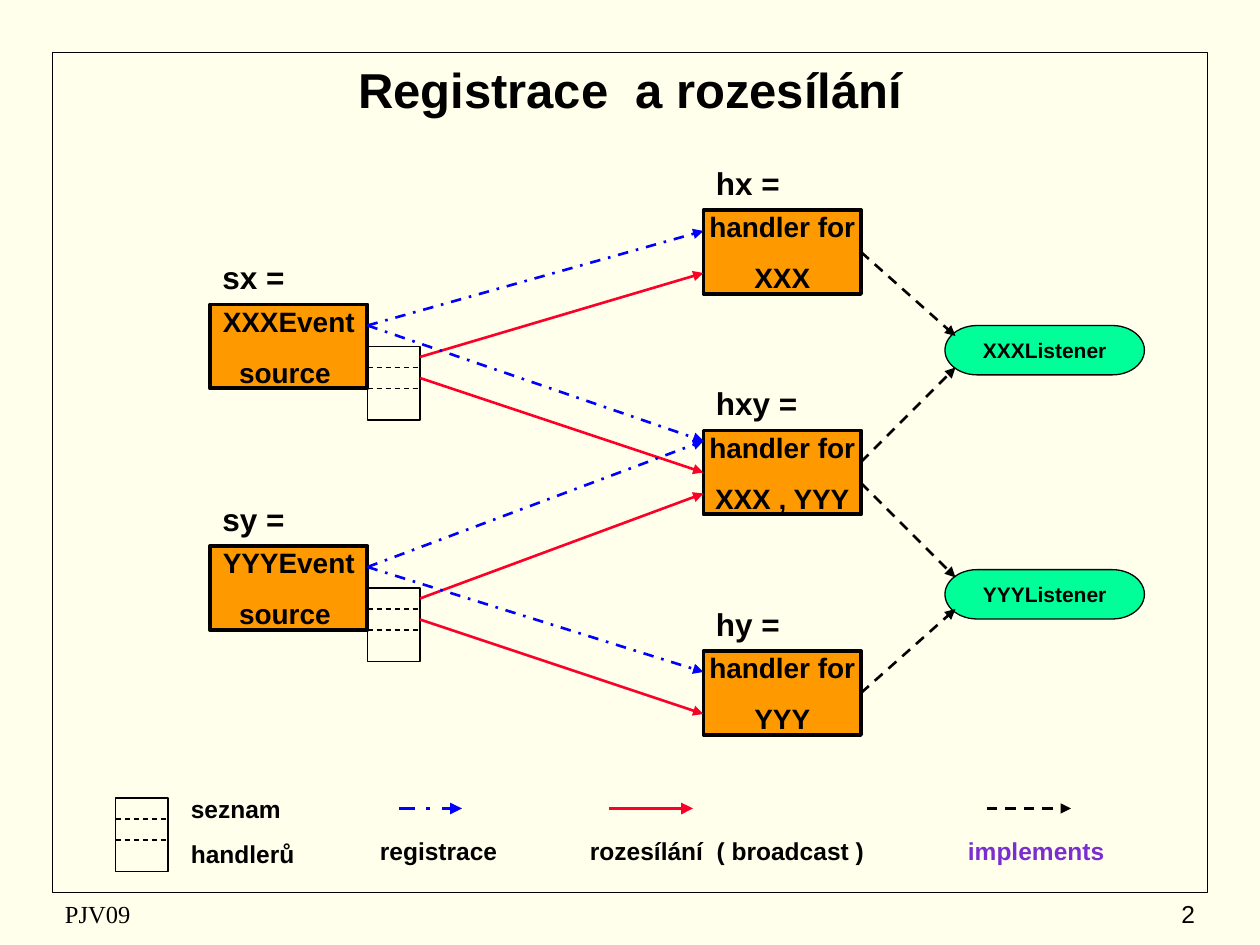
from dataclasses import dataclass

from pptx import Presentation
from pptx.dml.color import RGBColor
from pptx.enum.dml import MSO_LINE
from pptx.enum.shapes import MSO_CONNECTOR, MSO_SHAPE
from pptx.enum.text import MSO_ANCHOR, PP_ALIGN
from pptx.oxml.ns import qn
from pptx.util import Inches, Pt
from lxml.etree import SubElement


@dataclass(frozen=True)
class Theme:
    paper: str = "FFFFEB"
    ink: str = "000000"
    box: str = "FF9900"
    listener: str = "00FF99"
    register: str = "0000FF"
    broadcast: str = "FC0128"
    accent: str = "7B2ED0"
    sans: str = "Arial"
    serif: str = "Times New Roman"
    title_size: float = 28
    name_size: float = 18
    box_size: float = 16
    legend_size: float = 14
    listener_size: float = 12


THEME = Theme()
COLUMNS, ROWS = 120, 90
WIDTH, HEIGHT = Inches(10), Inches(7.5)
SOURCE_COLUMN, LIST_COLUMN, HANDLER_COLUMN, LISTENER_COLUMN = 20, 35, 67, 90
BOX_WIDTH, BOX_HEIGHT = 15, 8
LIST_WIDTH, LIST_HEIGHT = 5, 7
LEFT_SIDE, RIGHT_SIDE = 1, 3
LINE_STYLES = {
    "register": (THEME.register, MSO_LINE.DASH_DOT),
    "broadcast": (THEME.broadcast, None),
    "implements": (THEME.ink, MSO_LINE.DASH),
    "divider": (THEME.ink, MSO_LINE.DASH),
}


def across(columns):
    return int(WIDTH * columns / COLUMNS)


def down(rows):
    return int(HEIGHT * rows / ROWS)


def place(left, top, width, height):
    return across(left), down(top), across(width), down(height)


def write(holder, text, size, color=THEME.ink, font=THEME.sans, bold=True,
          align=PP_ALIGN.LEFT, anchor=MSO_ANCHOR.TOP, wrap=True, gap=0):
    frame = holder.text_frame
    frame.text = text
    frame.word_wrap = wrap
    frame.vertical_anchor = anchor
    for index, paragraph in enumerate(frame.paragraphs):
        paragraph.alignment = align
        paragraph.space_before = Pt(gap if index else 0)
        for run in paragraph.runs:
            run.font.size = Pt(size)
            run.font.name = font
            run.font.bold = bold
            run.font.color.rgb = RGBColor.from_string(color)


def add_label(slide, area, text, size, **style):
    write(slide.shapes.add_textbox(*place(*area)), text, size, **style)


def add_outline(slide, area, fill=None, weight=1.0, preset=MSO_SHAPE.RECTANGLE):
    outline = slide.shapes.add_shape(preset, *place(*area))
    outline.shadow.inherit = False
    if fill:
        outline.fill.solid()
        outline.fill.fore_color.rgb = RGBColor.from_string(fill)
    else:
        outline.fill.background()
    outline.line.color.rgb = RGBColor.from_string(THEME.ink)
    outline.line.width = Pt(weight)
    return outline


def add_line(slide, start, end, style, weight=1.5, arrow=True, origin=None, target=None):
    color, dash = LINE_STYLES[style]
    line = slide.shapes.add_connector(
        MSO_CONNECTOR.STRAIGHT, across(start[0]), down(start[1]), across(end[0]), down(end[1]))
    line.line.color.rgb = RGBColor.from_string(color)
    line.line.width = Pt(weight)
    if dash:
        line.line.dash_style = dash
    if arrow:
        SubElement(line.line._get_or_add_ln(), qn("a:tailEnd"), type="triangle")
    SubElement(line._element.spPr, qn("a:effectLst"))
    if origin is not None:
        line.begin_connect(origin, RIGHT_SIDE)
    if target is not None:
        line.end_connect(target, LEFT_SIDE)


def add_named_box(slide, column, row, name, text):
    box = add_outline(slide, (column, row, BOX_WIDTH, BOX_HEIGHT), THEME.box, 2.25)
    write(box, text, THEME.box_size, align=PP_ALIGN.CENTER,
          anchor=MSO_ANCHOR.MIDDLE, wrap=False, gap=10)
    add_label(slide, (column, row - 5, 11, 4.8), name, THEME.name_size)
    return box


def add_handler_list(slide, column, row):
    add_outline(slide, (column, row, LIST_WIDTH, LIST_HEIGHT))
    for divider in (row + 2, row + 4):
        add_line(slide, (column, divider), (column + LIST_WIDTH, divider),
                 "divider", 0.75, arrow=False)


def add_listener(slide, row, text):
    listener = add_outline(slide, (LISTENER_COLUMN, row, 19, 4.7), THEME.listener, 0.75,
                           MSO_SHAPE.FLOWCHART_TERMINATOR)
    write(listener, text, THEME.listener_size, align=PP_ALIGN.CENTER,
          anchor=MSO_ANCHOR.MIDDLE, wrap=False)


def add_page(slide):
    slide.background.fill.solid()
    slide.background.fill.fore_color.rgb = RGBColor.from_string(THEME.paper)
    add_outline(slide, (5, 5, 110, 80))
    title = slide.shapes.title
    title.left, title.top, title.width, title.height = place(22, 5, 76, 7)
    write(title, "Registrace  a rozesílání", THEME.title_size,
          align=PP_ALIGN.CENTER, anchor=MSO_ANCHOR.MIDDLE)
    add_label(slide, (5, 85, 38, 4), "PJV09", THEME.legend_size, font=THEME.serif,
              bold=False, anchor=MSO_ANCHOR.MIDDLE)
    add_label(slide, (90, 85, 25, 4), "2", THEME.legend_size, bold=False,
              align=PP_ALIGN.RIGHT, anchor=MSO_ANCHOR.MIDDLE)


def add_diagram(slide):
    for row, name, text in ((29, "sx =", "XXXEvent\nsource "), (52, "sy =", "YYYEvent\nsource ")):
        add_named_box(slide, SOURCE_COLUMN, row, name, text)
        add_handler_list(slide, LIST_COLUMN, row + 4)
    hx, hxy, hy = [
        add_named_box(slide, HANDLER_COLUMN, row, name, f"handler for\n{events}")
        for row, name, events in ((20, "hx =", "XXX"), (41, "hxy =", "XXX , YYY"), (62, "hy =", "YYY"))]
    add_listener(slide, 31, "XXXListener")
    add_listener(slide, 54.25, "YYYListener")

    for start, end, target in ((34, 26, None), (36, 45, hxy), (57, 47, None), (59, 68, None)):
        add_line(slide, (LIST_COLUMN + LIST_WIDTH, start), (HANDLER_COLUMN, end),
                 "broadcast", target=target)
    for start, end in ((31, 22), (31, 42), (54, 42), (54, 64)):
        add_line(slide, (LIST_COLUMN, start), (HANDLER_COLUMN, end), "register")
    for start, end, origin in ((24, 32, hx), (44, 35, None), (46, 55, None), (66, 58, hy)):
        add_line(slide, (HANDLER_COLUMN + BOX_WIDTH, start), (LISTENER_COLUMN + 1, end),
                 "implements", origin=origin)


def add_legend(slide):
    add_handler_list(slide, 11, 76)
    add_label(slide, (17, 75, 13, 8.3), "seznam\nhandlerů", THEME.legend_size, gap=8.8)
    entries = (
        ("register", 38, 6, 2.25, "registrace", 35, 14, THEME.ink),
        ("broadcast", 58, 8, 2.25, "rozesílání  ( broadcast )", 55, 30, THEME.ink),
        ("implements", 94, 8, 1.5, "implements", 91, 18, THEME.accent),
    )
    for style, start, length, weight, text, column, width, color in entries:
        add_line(slide, (start, 77), (start + length, 77), style, weight)
        add_label(slide, (column, 79, width, 4), text, THEME.legend_size, color=color)


def main():
    deck = Presentation()
    deck.slide_width, deck.slide_height = WIDTH, HEIGHT
    slide = deck.slides.add_slide(deck.slide_layouts[5])
    add_page(slide)
    add_diagram(slide)
    add_legend(slide)
    deck.save("out.pptx")


if __name__ == "__main__":
    main()
